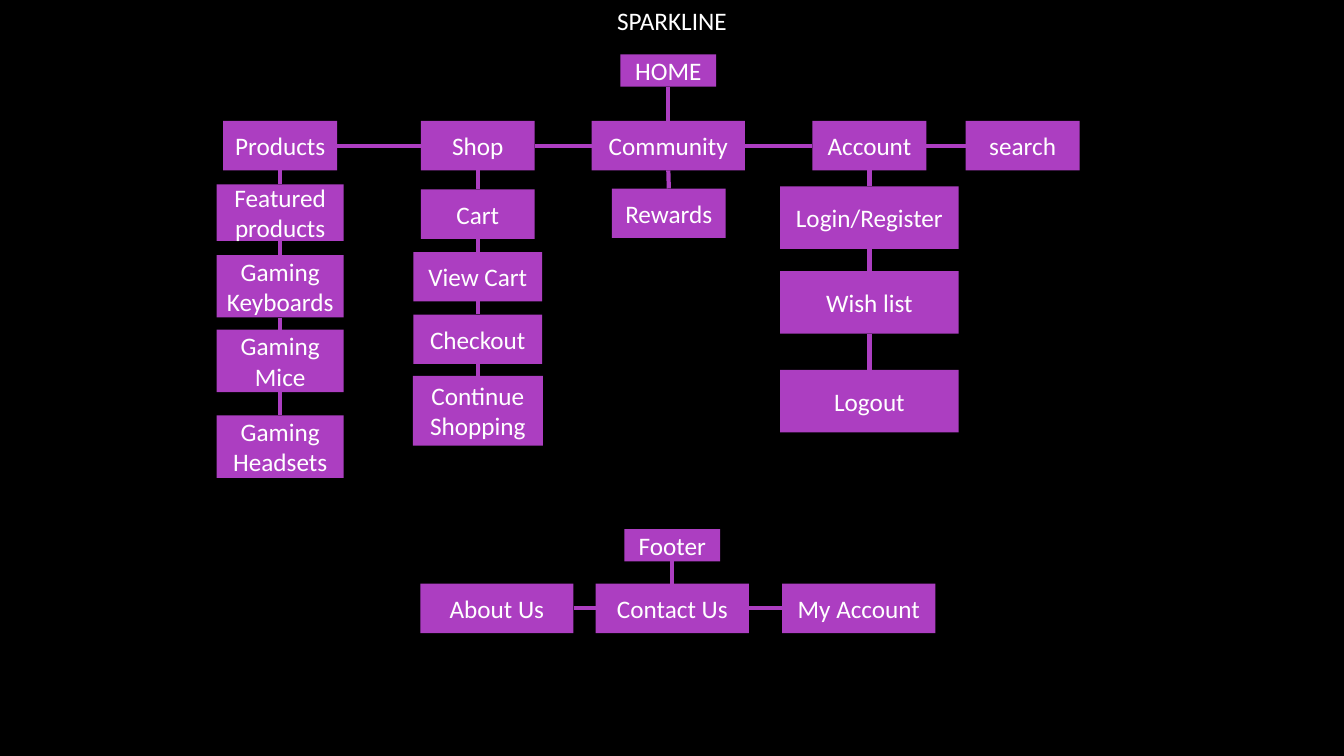
"""Build the site map slide: navigation branches above, footer links below."""
from itertools import pairwise

from lxml.etree import SubElement
from pptx import Presentation
from pptx.dml.color import RGBColor
from pptx.enum.shapes import MSO_CONNECTOR, MSO_SHAPE
from pptx.enum.text import MSO_ANCHOR, MSO_AUTO_SIZE, PP_ALIGN
from pptx.oxml.ns import qn
from pptx.util import Inches, Pt

COLORS = {"background": "000000", "purple": "AC3EC1", "text": "FFFFFF"}
COLUMNS, ROWS = 133.33, 75
TOP, BOTTOM, LEFT, RIGHT = 0, 2, 1, 3

MENU_TOP, MENU_HEIGHT = 12, 4.9
MENU = [
    ("Products", 27.8, 11.3),
    ("Shop", 47.4, 11.3),
    ("Community", 66.3, 15.2),
    ("Account", 86.25, 11.3),
    ("search", 101.45, 11.3),
]
BRANCHES = {
    "Products": [
        ("Featured products", 27.8, 18.3, 12.6, 5.6),
        ("Gaming Keyboards", 27.8, 25.3, 12.6, 6.2),
        ("Gaming Mice", 27.8, 32.7, 12.6, 6.2),
        ("Gaming Headsets", 27.8, 41.2, 12.6, 6.2),
    ],
    "Shop": [
        ("Cart", 47.4, 18.8, 11.3, 4.9),
        ("View Cart", 47.4, 25, 12.8, 4.9),
        ("Checkout", 47.4, 31.2, 12.8, 4.9),
        ("Continue Shopping", 47.4, 37.3, 12.9, 6.9),
    ],
    "Community": [("Rewards", 66.35, 18.7, 11.3, 4.9)],
    "Account": [
        ("Login/Register", 86.25, 18.5, 17.7, 6.2),
        ("Wish list", 86.25, 26.9, 17.7, 6.2),
        ("Logout", 86.25, 36.7, 17.7, 6.2),
    ],
}
FOOTER_TOP = 57.9
FOOTER = [("About Us", 49.3), ("Contact Us", 66.7), ("My Account", 85.2)]


def write_text(frame, text, size=18, font="Calibri", color="text",
               align=PP_ALIGN.CENTER, anchor=MSO_ANCHOR.MIDDLE):
    frame.word_wrap = True
    frame.vertical_anchor = anchor
    para = frame.paragraphs[0]
    para.alignment = align
    span = para.add_run()
    span.text = text
    span.font.size = Pt(size)
    span.font.name = font
    span.font.color.rgb = RGBColor.from_string(COLORS[color])


class SiteMap:
    def __init__(self, deck):
        self.column = deck.slide_width / COLUMNS
        self.row = deck.slide_height / ROWS
        self.page = deck.slides.add_slide(deck.slide_layouts[5])
        fill = self.page.background.fill
        fill.solid()
        fill.fore_color.rgb = RGBColor.from_string(COLORS["background"])

    def title(self, text, height):
        title = self.page.shapes.title
        title.left, title.top = 0, 0
        title.width = round(COLUMNS * self.column)
        title.height = round(height * self.row)
        title.text_frame.auto_size = MSO_AUTO_SIZE.NONE
        write_text(title.text_frame, text, anchor=MSO_ANCHOR.TOP)

    def box(self, text, center, top, width, height):
        box = self.page.shapes.add_shape(
            MSO_SHAPE.RECTANGLE,
            round((center - width / 2) * self.column), round(top * self.row),
            round(width * self.column), round(height * self.row))
        box.shadow.inherit = False
        box.fill.solid()
        box.fill.fore_color.rgb = RGBColor.from_string(COLORS["purple"])
        box.line.fill.background()
        write_text(box.text_frame, text)
        return box

    def join(self, start, end, start_side, end_side):
        line = self.page.shapes.add_connector(MSO_CONNECTOR.STRAIGHT, 0, 0, 0, 0)
        line.begin_connect(start, start_side)
        line.end_connect(end, end_side)
        line.line.width = Pt(3)
        line.line.color.rgb = RGBColor.from_string(COLORS["purple"])
        SubElement(line._element.spPr, qn("a:effectLst"))

    def chain(self, boxes, start_side, end_side):
        for start, end in pairwise(boxes):
            self.join(start, end, start_side, end_side)


def main():
    deck = Presentation()
    deck.slide_width, deck.slide_height = Inches(13.33), Inches(7.5)
    site = SiteMap(deck)
    site.title("SPARKLINE", 4)

    home = site.box("HOME", 66.3, 5.4, 9.5, 3.2)
    menu = {name: site.box(name, center, MENU_TOP, width, MENU_HEIGHT)
            for name, center, width in MENU}
    site.join(home, menu["Community"], BOTTOM, TOP)
    site.chain(menu.values(), RIGHT, LEFT)
    for name, entries in BRANCHES.items():
        branch = [site.box(*entry) for entry in entries]
        site.chain([menu[name], *branch], BOTTOM, TOP)

    footer = site.box("Footer", 66.7, 52.5, 9.5, 3.2)
    links = [site.box(name, center, FOOTER_TOP, 15.2, 4.9) for name, center in FOOTER]
    site.join(footer, links[1], BOTTOM, TOP)
    site.chain(links, RIGHT, LEFT)

    deck.save("out.pptx")


if __name__ == "__main__":
    main()
